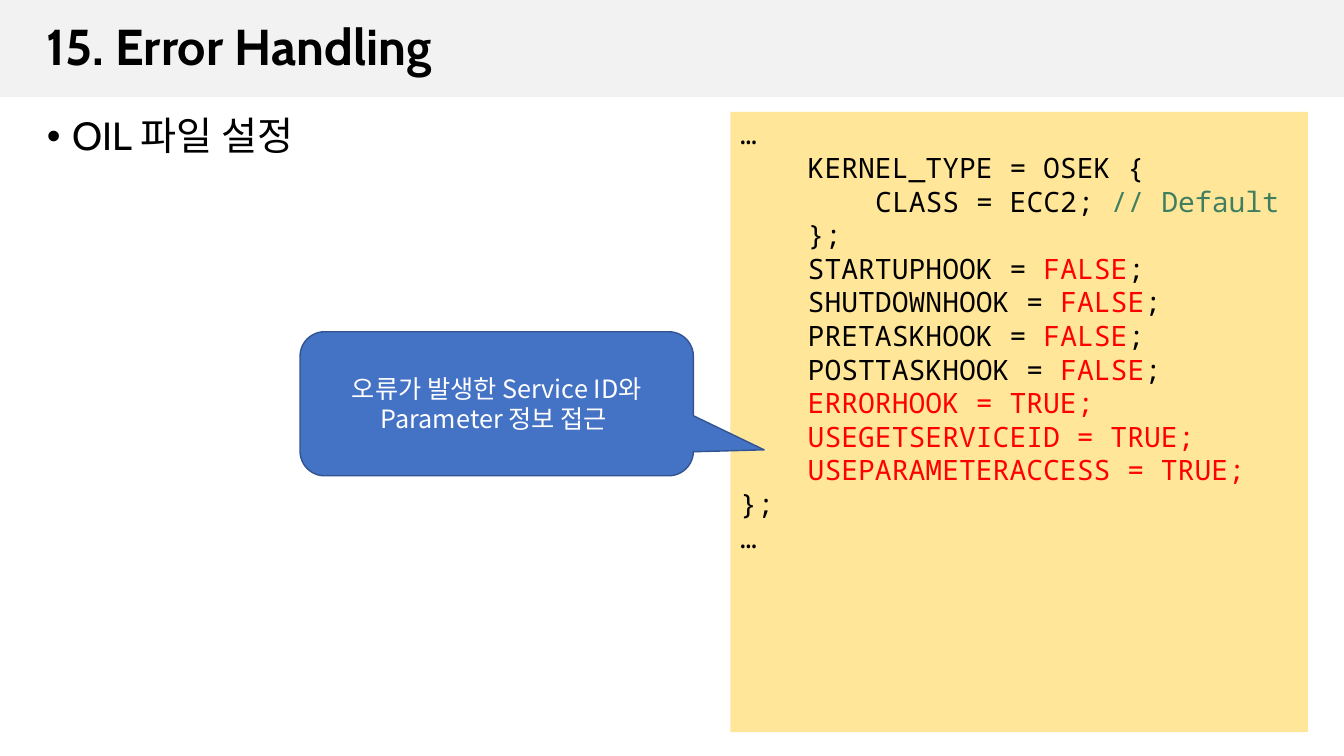
from pptx import Presentation
from pptx.dml.color import RGBColor
from pptx.enum.shapes import MSO_SHAPE
from pptx.enum.text import MSO_ANCHOR, PP_ALIGN
from pptx.util import Cm, Pt
from lxml import etree

RECT = MSO_SHAPE.RECTANGLE
CALLOUT = MSO_SHAPE.ROUNDED_RECTANGULAR_CALLOUT
TOP, MIDDLE = MSO_ANCHOR.TOP, MSO_ANCHOR.MIDDLE
LEFT, CENTER = PP_ALIGN.LEFT, PP_ALIGN.CENTER
NS = "{http://schemas.openxmlformats.org/drawingml/2006/main}"
KOREAN = "Noto Sans CJK KR"


def color(code):
    return RGBColor.from_string(code)


def write(para, text, face, size, code="000000", bold=False):
    run = para.add_run()
    run.text = text
    form = {"name": face, "size": Pt(size), "bold": bold}
    for key, value in form.items():
        setattr(run.font, key, value)
    run.font.color.rgb = color(code)
    etree.SubElement(run.font._element, NS + "ea", typeface=KOREAN)


deck = Presentation()
deck.slide_width, deck.slide_height = Cm(33.86), Cm(19.05)
slide = deck.slides.add_slide(deck.slide_layouts[6])

boxes = {
    "band": (RECT, 0, 0, 33.86, 2.44, "F2F2F2", MIDDLE),
    "title": (None, 0.93, 0.18, 32, 2.11, None, MIDDLE),
    "topic": (None, 0.93, 2.82, 17, 1.6, None, TOP),
    "code": (RECT, 18.4, 2.82, 14.55, 15.63, "FFE699", TOP),
    "callout": (CALLOUT, 7.56, 8.36, 9.91, 3.63, "4472C4", MIDDLE),
}
shapes = {}
for name, (kind, x, y, wide, high, fill, anchor) in boxes.items():
    place = Cm(x), Cm(y), Cm(wide), Cm(high)
    if kind is None:
        shape = slide.shapes.add_textbox(*place)
    else:
        shape = slide.shapes.add_shape(kind, *place)
        shape.shadow.inherit = False
        shape.fill.solid()
        shape.fill.fore_color.rgb = color(fill)
        shape.line.fill.background()
    shape.text_frame.word_wrap = True
    shape.text_frame.vertical_anchor = anchor
    shapes[name] = shape

para = shapes["title"].text_frame.paragraphs[0]
para.line_spacing = 0.9
write(para, "15. Error Handling", "Cabin", 36, bold=True)

para = shapes["topic"].text_frame.paragraphs[0]
para.line_spacing = 0.9
para.space_before = Pt(10)
props = para._p.get_or_add_pPr()
props.set("marL", str(Cm(0.64)))
props.set("indent", str(-Cm(0.64)))
etree.SubElement(props, NS + "buFont", typeface="Arial")
etree.SubElement(props, NS + "buChar", char="•")
write(para, "OIL 파일 설정", "Cabin", 28)

BLACK, RED, GREEN = "000000", "FF0000", "3F7F5F"
lines = [
    (0, [("…", BLACK)]),
    (1, [("KERNEL_TYPE = OSEK {", BLACK)]),
    (2, [("CLASS = ECC2; ", BLACK), ("// Default", GREEN)]),
    (1, [("};", BLACK)]),
]
for hook in ("STARTUP", "SHUTDOWN", "PRETASK", "POSTTASK"):
    lines.append((1, [(hook + "HOOK = ", BLACK), ("FALSE", RED), (";", BLACK)]))
for flag in ("ERRORHOOK", "USEGETSERVICEID", "USEPARAMETERACCESS"):
    lines.append((1, [(flag + " = TRUE;", RED)]))
lines += [(0, [("};", BLACK)]), (0, [("…", BLACK)])]

frame = shapes["code"].text_frame
for row, (depth, parts) in enumerate(lines):
    para = frame.add_paragraph() if row else frame.paragraphs[0]
    para.alignment = LEFT
    para._p.get_or_add_pPr().set("marL", str(Cm(1.7 * depth)))
    for text, code in parts:
        write(para, text, "Noto Sans Mono", 20, code)

callout = shapes["callout"]
for spot, value in enumerate((0.68, 0.32, 0.17)):
    callout.adjustments[spot] = value
callout.line.color.rgb = color("325491")
callout.line.width = Pt(1)
para = callout.text_frame.paragraphs[0]
para.alignment = CENTER
write(para, "오류가 발생한 Service ID와 Parameter 정보 접근 ", KOREAN, 18, "FFFFFF")

deck.save("out.pptx")
